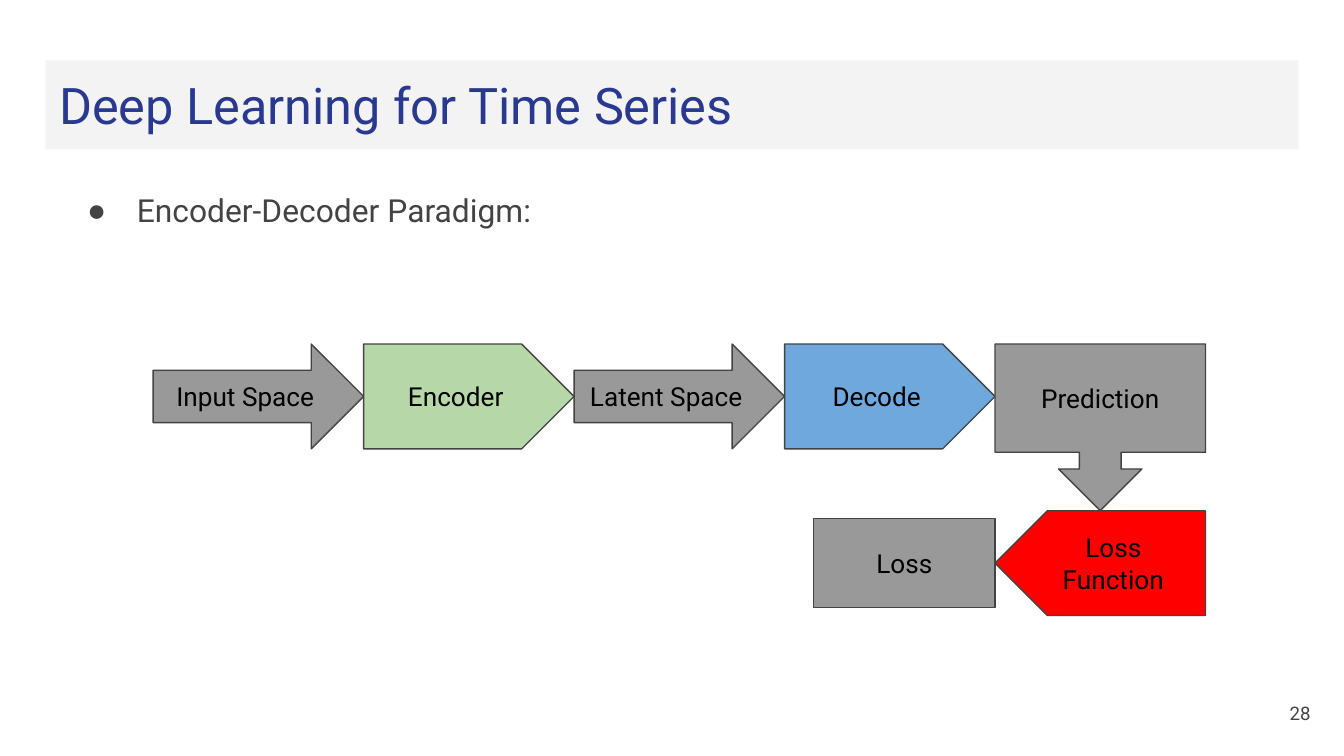
from lxml import etree
from pptx import Presentation
from pptx.dml.color import RGBColor
from pptx.enum.shapes import MSO_SHAPE
from pptx.enum.text import MSO_ANCHOR, PP_ALIGN
from pptx.oxml.ns import qn
from pptx.util import Inches, Pt

ARROW, PLATE = MSO_SHAPE.RIGHT_ARROW, MSO_SHAPE.PENTAGON
CALLOUT, RECTANGLE = MSO_SHAPE.DOWN_ARROW_CALLOUT, MSO_SHAPE.RECTANGLE
TOP, MIDDLE = MSO_ANCHOR.TOP, MSO_ANCHOR.MIDDLE
LEFT, CENTER, RIGHT = PP_ALIGN.LEFT, PP_ALIGN.CENTER, PP_ALIGN.RIGHT

FONT, BULLET_FONT = "Roboto", "Arial"
NAVY, DARK, BLACK = "2A3990", "434343", "000000"
PALE, GRAY, GREEN, BLUE, RED = "F3F3F3", "999999", "B6D7A8", "6FA8DC", "FF0000"

TITLE = "Deep Learning for Time Series"
BULLET = "Encoder-Decoder Paradigm:"
PAGE_NUMBER = "28"

# Slide and flow grid, in inches
SLIDE_WIDTH = 10
SLIDE_HEIGHT = SLIDE_WIDTH * 9 / 16
FLOW_LEFT, FLOW_TOP, FLOW_WIDTH, COLUMNS = 1.14, 2.56, 7.83, 5
STEP_WIDTH, STEP_HEIGHT, ROW_PITCH = FLOW_WIDTH / COLUMNS, 0.78, 1.24
LOSS_WIDTH, LOSS_HEIGHT = 1.35, 0.66

# Label, preset, fill, column, row, width, height, flipped
STEPS = [
    ("Input Space", ARROW, GRAY, 0, 0, STEP_WIDTH, STEP_HEIGHT, False),
    ("Encoder", PLATE, GREEN, 1, 0, STEP_WIDTH, STEP_HEIGHT, False),
    ("Latent Space", ARROW, GRAY, 2, 0, STEP_WIDTH, STEP_HEIGHT, False),
    ("Decode", PLATE, BLUE, 3, 0, STEP_WIDTH, STEP_HEIGHT, False),
    ("Loss Function", PLATE, RED, 4, 1, STEP_WIDTH, STEP_HEIGHT, True),
    ("Loss", RECTANGLE, GRAY, 3, 1, LOSS_WIDTH, LOSS_HEIGHT, False),
    ("Prediction", CALLOUT, GRAY, 4, 0, STEP_WIDTH, ROW_PITCH, False),
]
ADJUSTMENTS = {
    ARROW: [0.5, 0.5],
    PLATE: [0.5],
    CALLOUT: [0.25, 0.25, 0.25, 0.65],
    RECTANGLE: [],
}


def color(value):
    return RGBColor.from_string(value)


def place(shape, left, top, width, height):
    shape.left, shape.top = Inches(left), Inches(top)
    shape.width, shape.height = Inches(width), Inches(height)


def write(shape, text, size, tint, align, anchor):
    frame = shape.text_frame
    frame.word_wrap = True
    frame.vertical_anchor = anchor
    frame.margin_left = frame.margin_right = Inches(0.1)
    frame.margin_top = frame.margin_bottom = Inches(0.1)
    para = frame.paragraphs[0]
    para.alignment = align
    span = para.add_run()
    span.text = text
    span.font.name, span.font.size = FONT, Pt(size)
    span.font.color.rgb = color(tint)
    return para


def add_bullet(para, mark, tint, margin, indent):
    properties = para._p.get_or_add_pPr()
    properties.set("marL", str(Inches(margin)))
    properties.set("indent", str(Inches(indent)))
    bullet_color = etree.SubElement(properties, qn("a:buClr"))
    etree.SubElement(bullet_color, qn("a:srgbClr"), val=tint)
    etree.SubElement(properties, qn("a:buFont"), typeface=BULLET_FONT)
    etree.SubElement(properties, qn("a:buChar"), char=mark)


def add_step(page, label, preset, fill, column, row, width, height, flipped):
    """Draw a step against its column's right edge; row 1 is centred on its line."""
    left = FLOW_LEFT + (column + 1) * STEP_WIDTH - width
    top = FLOW_TOP + row * (ROW_PITCH + (STEP_HEIGHT - height) / 2)
    shape = page.shapes.add_shape(preset, 0, 0, 0, 0)
    place(shape, left, top, width, height)
    shape.shadow.inherit = False
    for index, value in enumerate(ADJUSTMENTS[preset]):
        shape.adjustments[index] = value
    shape.fill.solid()
    shape.fill.fore_color.rgb = color(fill)
    shape.line.color.rgb = color(DARK)
    shape.line.width = Pt(0.75)
    if flipped:
        shape.element.spPr.xfrm.set("flipH", "1")
    write(shape, label, 14, BLACK, CENTER, MIDDLE)


def add_text(page, bounds, *text_style):
    box = page.shapes.add_textbox(0, 0, 0, 0)
    place(box, *bounds)
    return write(box, *text_style)


def main():
    deck = Presentation()
    deck.slide_width, deck.slide_height = Inches(SLIDE_WIDTH), Inches(SLIDE_HEIGHT)
    page = deck.slides.add_slide(deck.slide_layouts[5])

    title = page.shapes.title
    place(title, 0.34, 0.45, 9.32, 0.66)
    title.fill.solid()
    title.fill.fore_color.rgb = color(PALE)
    write(title, TITLE, 27, NAVY, LEFT, MIDDLE)

    para = add_text(page, (0.42, 1.28, 7.32, 0.78), BULLET, 17, DARK, LEFT, TOP)
    para.line_spacing = 1.15
    add_bullet(para, "●", DARK, 0.5, -0.37)

    for step in STEPS:
        add_step(page, *step)

    add_text(page, (9.25, 5.09, 0.6, 0.43), PAGE_NUMBER, 10, DARK, RIGHT, MIDDLE)
    deck.save("out.pptx")


if __name__ == "__main__":
    main()
